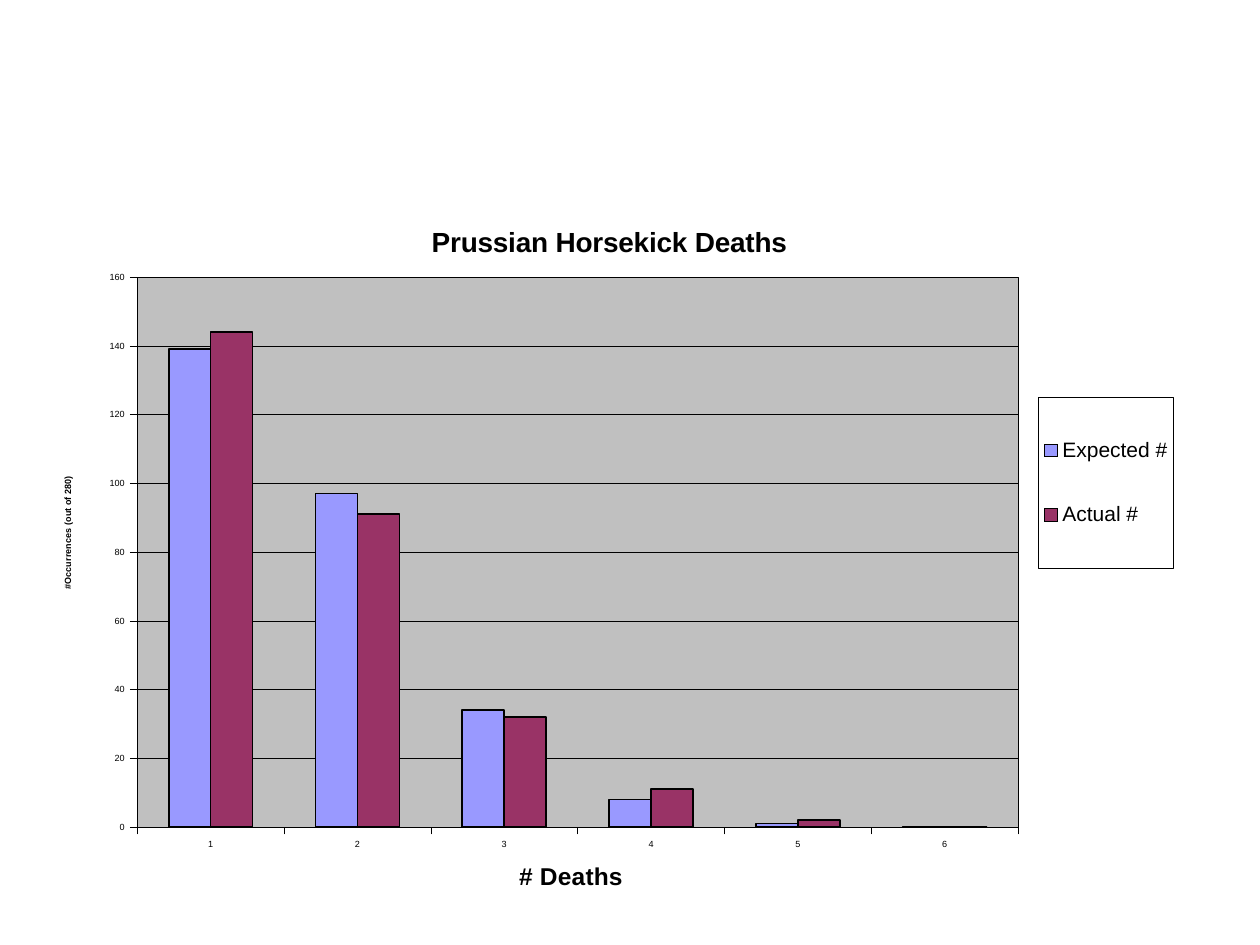
from dataclasses import dataclass

from pptx import Presentation
from pptx.chart.data import CategoryChartData
from pptx.dml.color import RGBColor
from pptx.enum.chart import XL_CHART_TYPE, XL_LEGEND_POSITION, XL_TICK_MARK
from pptx.oxml import parse_xml
from pptx.oxml.ns import nsdecls, qn
from pptx.util import Inches, Pt


@dataclass(frozen=True)
class Theme:
    face: str = "Arial"
    ink: str = "000000"
    paper: str = "FFFFFF"
    wall: str = "C0C0C0"
    bars: tuple = ("9999FF", "993366")
    small: float = 5.2
    key: float = 12
    label: float = 14
    head: float = 16
    thin: float = 0.25
    edge: float = 1


THEME = Theme()
CATS = ["1", "2", "3", "4", "5", "6"]
DATA = {
    "Expected #": [139, 97, 34, 8, 1, 0],
    "Actual #": [144, 91, 32, 11, 2, 0],
}


def px(n):
    return Inches(n / 126)


def assign(obj, **vals):
    for name, val in vals.items():
        setattr(obj, name, val)


def style(font, size, bold=False):
    assign(font, name=THEME.face, size=Pt(size), bold=bold)
    font.color.rgb = RGBColor.from_string(THEME.ink)


def stroke(line, width):
    line.color.rgb = RGBColor.from_string(THEME.ink)
    line.width = Pt(width)


def place(node, after=None, inner=False, **spots):
    """Set a manual layout, given as fractions of the chart."""
    for old in node.findall(qn("c:layout")):
        node.remove(old)
    tags = '<c:layoutTarget val="inner"/>' if inner else ""
    tags += "".join(f'<c:{k}Mode val="edge"/>' for k in spots if k in "xy")
    tags += "".join(f'<c:{k} val="{v}"/>' for k, v in spots.items())
    layout = parse_xml(f'<c:layout {nsdecls("c")}><c:manualLayout>{tags}'
                       "</c:manualLayout></c:layout>")
    if after:
        node.find(qn(after)).addnext(layout)
    else:
        node.insert(0, layout)


def panel(fill):
    """Make the fill and thin border of a chart part."""
    return parse_xml(
        f'<c:spPr {nsdecls("c", "a")}>'
        f'<a:solidFill><a:srgbClr val="{fill}"/></a:solidFill>'
        f'<a:ln w="{Pt(THEME.thin)}"><a:solidFill><a:srgbClr val="{THEME.ink}"/>'
        "</a:solidFill></a:ln></c:spPr>")


def caption(title, text, size, x, y, turn=0):
    frame = title.text_frame
    frame.text = text
    style(frame.paragraphs[0].runs[0].font, size, True)
    node = title._element
    body = next(node.iter(qn("a:bodyPr")))
    body.set("rot", str(turn * 60000))
    body.set("vert", "horz")
    place(node, "c:tx", x=x, y=y)


def scale(axis, grid):
    assign(axis, has_major_gridlines=grid, major_tick_mark=XL_TICK_MARK.OUTSIDE,
           minor_tick_mark=XL_TICK_MARK.NONE)
    style(axis.tick_labels.font, THEME.small)
    stroke(axis.format.line, THEME.thin)
    if grid:
        stroke(axis.major_gridlines.format.line, THEME.thin)


def legend(chart):
    chart.has_legend = True
    key = chart.legend
    assign(key, position=XL_LEGEND_POSITION.RIGHT, include_in_layout=False)
    style(key.font, THEME.key)
    node = key._element
    place(node, "c:legendPos", x=0.88, y=0.286, w=0.118, h=0.248)
    node.find(qn("c:txPr")).addprevious(panel(THEME.paper))


def graph(slide, left, top, wide, high):
    data = CategoryChartData()
    data.categories = CATS
    for name, vals in DATA.items():
        data.add_series(name, vals)
    chart = slide.shapes.add_chart(
        XL_CHART_TYPE.COLUMN_CLUSTERED,
        px(left), px(top), px(wide), px(high), data).chart
    style(chart.font, THEME.small)

    plot = chart.plots[0]
    assign(plot, gap_width=150, overlap=0, vary_by_categories=False)
    for bar, color in zip(plot.series, THEME.bars):
        bar.invert_if_negative = False
        bar.format.fill.solid()
        bar.format.fill.fore_color.rgb = RGBColor.from_string(color)
        stroke(bar.format.line, THEME.edge)

    cat, val = chart.category_axis, chart.value_axis
    scale(cat, False)
    scale(val, True)
    assign(val, minimum_scale=0, maximum_scale=160, major_unit=20)

    chart.has_title = True
    caption(chart.chart_title, "Prussian Horsekick Deaths", THEME.head, 0.345, 0.03)
    caption(cat.axis_title, "# Deaths", THEME.label, 0.422, 0.95)
    caption(val.axis_title, "#Occurrences (out of 280)", THEME.small,
            0.025, 0.4, -90)
    legend(chart)

    area = next(chart._chartSpace.iter(qn("c:plotArea")))
    place(area, inner=True, x=0.092, y=0.113, w=0.77, h=0.795)
    area.append(panel(THEME.wall))


def main():
    deck = Presentation()
    assign(deck, slide_width=px(1260), slide_height=px(945))
    slide = deck.slides.add_slide(deck.slide_layouts[6])
    graph(slide, 32, 199, 1144, 699)
    deck.save("out.pptx")


if __name__ == "__main__":
    main()
